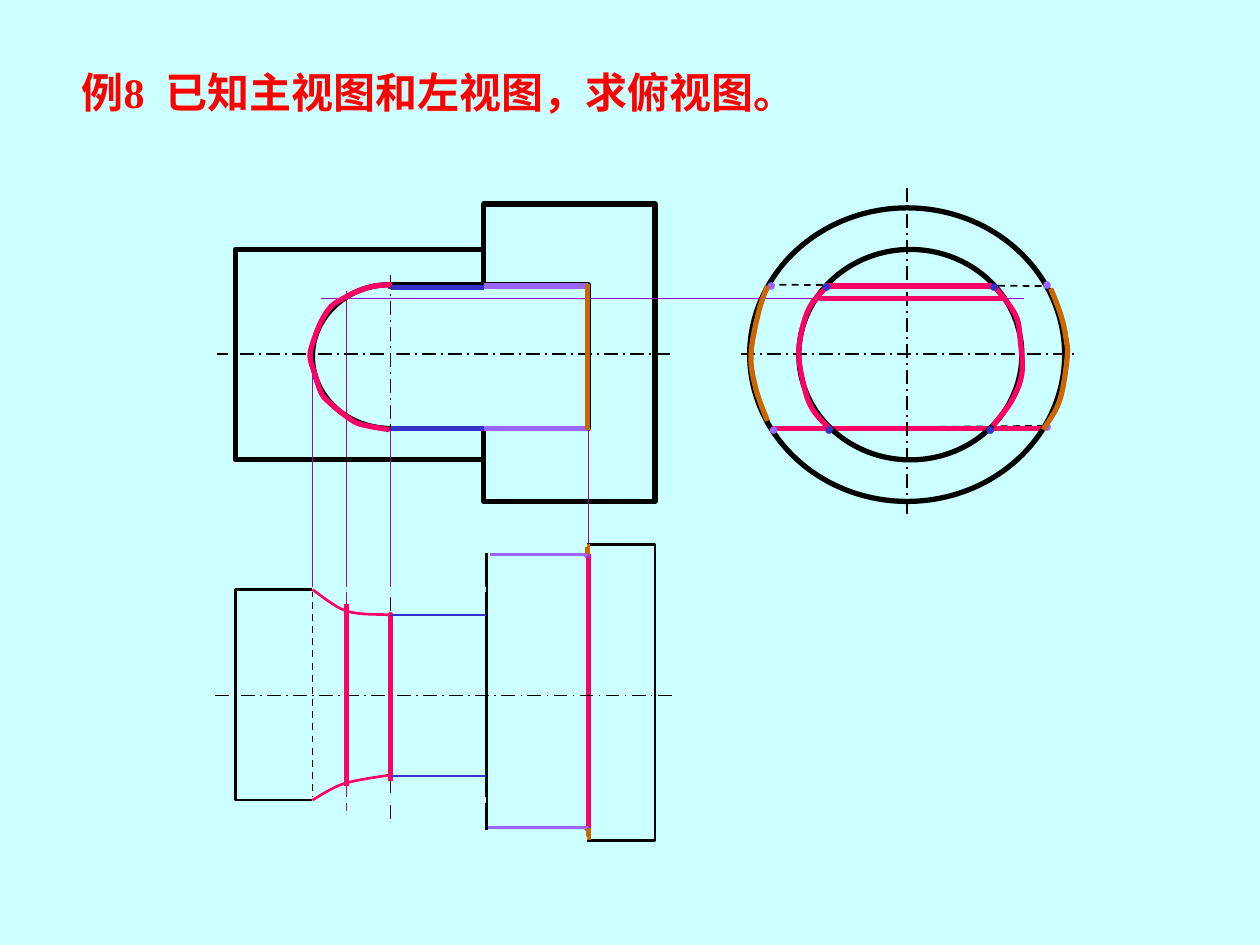
from typing import NamedTuple, Optional

from lxml import etree
from pptx import Presentation
from pptx.dml.color import RGBColor
from pptx.enum.dml import MSO_LINE
from pptx.enum.shapes import MSO_CONNECTOR, MSO_SHAPE
from pptx.enum.text import MSO_ANCHOR, MSO_AUTO_SIZE, PP_ALIGN
from pptx.oxml.ns import qn
from pptx.util import Inches, Pt

STRAIGHT = MSO_CONNECTOR.STRAIGHT
RECTANGLE, OVAL = MSO_SHAPE.RECTANGLE, MSO_SHAPE.OVAL
DASH, CENTRE_LINE = MSO_LINE.DASH, MSO_LINE.LONG_DASH_DOT
MIDDLE, CENTER = MSO_ANCHOR.MIDDLE, PP_ALIGN.CENTER
FIT_SHAPE = MSO_AUTO_SIZE.SHAPE_TO_FIT_TEXT
FONT = "Times New Roman"
COLORS = {
    "paper": "CCFFFF", "black": "000000", "red": "FF0000", "pink": "FF0066",
    "projection": "9900CC", "violet": "9933FF", "lilac": "9966FF",
    "blue": "3333CC", "orange": "CC6600",
}
DOT_BOXES = {7: (0.26, 0.22), 10: (0.28, 0.27)}  # point size: box width, height


class Segment(NamedTuple):
    x1: float
    y1: float
    x2: float
    y2: float
    color: str = "black"
    weight: float = 1
    dash: Optional[MSO_LINE] = None


class Outline(NamedTuple):
    kind: MSO_SHAPE
    left: float
    top: float
    width: float
    height: float
    weight: float = 3
    fill: Optional[str] = None


class Curve(NamedTuple):
    knots: list
    color: str = "pink"
    weight: float = 3


class Dot(NamedTuple):
    x: float
    y: float
    color: str
    size: int = 7


def rgb(name: str) -> RGBColor:
    return RGBColor.from_string(COLORS[name])


def style_line(shape, color: str, weight: float) -> None:
    shape.line.color.rgb = rgb(color)
    shape.line.width = Pt(weight)


def draw_segment(page, item: Segment) -> None:
    line = page.shapes.add_connector(
        STRAIGHT, Inches(item.x1), Inches(item.y1), Inches(item.x2), Inches(item.y2))
    style_line(line, item.color, item.weight)
    if item.dash is not None:
        line.line.dash_style = item.dash
    etree.SubElement(line._element.spPr, qn("a:effectLst"))


def draw_outline(page, item: Outline) -> None:
    shape = page.shapes.add_shape(
        item.kind, Inches(item.left), Inches(item.top), Inches(item.width), Inches(item.height))
    shape.shadow.inherit = False
    style_line(shape, "black", item.weight)
    if item.fill:
        shape.fill.solid()
        shape.fill.fore_color.rgb = rgb(item.fill)
    else:
        shape.fill.background()


def bezier_points(knots: list) -> list:
    """Two handles and an end for each span of a smooth curve through the knots."""
    ends = [knots[0], *knots, knots[-1]]
    points = []
    for before, start, end, after in zip(ends, ends[1:], ends[2:], ends[3:]):
        points.append(tuple(s + (e - b) / 6 for b, s, e in zip(before, start, end)))
        points.append(tuple(e - (a - s) / 6 for s, e, a in zip(start, end, after)))
        points.append(end)
    return points


def draw_curve(page, item: Curve) -> None:
    start, *rest = [(Inches(x), Inches(y))
                    for x, y in [item.knots[0], *bezier_points(item.knots)]]
    builder = page.shapes.build_freeform(*start)
    builder.add_line_segments(rest, close=False)
    shape = builder.convert_to_shape()
    # Join every three line points into one cubic span
    steps = list(shape._element.iter(qn("a:lnTo")))
    for index in range(0, len(steps), 3):
        first, *others = steps[index:index + 3]
        first.tag = qn("a:cubicBezTo")
        for step in others:
            first.append(step[0])
            step.getparent().remove(step)
    shape.shadow.inherit = False
    shape.fill.background()
    style_line(shape, item.color, item.weight)


def add_text(page, left: float, top: float, width: float, height: float, text: str,
             size: int, color: str, wrap: bool = False, bold: bool = False):
    box = page.shapes.add_textbox(Inches(left), Inches(top), Inches(width), Inches(height))
    frame = box.text_frame
    frame.word_wrap = wrap
    frame.auto_size = FIT_SHAPE
    frame.vertical_anchor = MIDDLE
    para = frame.paragraphs[0]
    span = para.add_run()
    span.text = text
    span.font.name, span.font.size, span.font.bold = FONT, Pt(size), bold
    span.font.color.rgb = rgb(color)
    return para


def draw_dot(page, item: Dot) -> None:
    width, height = DOT_BOXES[item.size]
    para = add_text(page, item.x - width / 2, item.y - height / 2, width, height,
                    "●", item.size, item.color)
    para.alignment = CENTER


DRAWERS = {Segment: draw_segment, Outline: draw_outline, Curve: draw_curve, Dot: draw_dot}

# Bodies, axes and projection lines, back to front
BASE = [
    Segment(6.11, 3.4, 8.28, 3.38, dash=DASH),
    Segment(4.67, 4.32, 4.67, 6.67, dash=DASH),
    Segment(4.67, 6.58, 4.67, 4.4, "pink", 3),
    Segment(6.11, 3.4, 8.28, 3.4, "pink", 3),
    Segment(2.75, 2.31, 2.75, 6.44, "projection"),
    Segment(3.1, 4.53, 3.1, 6.51, dash=CENTRE_LINE),
    Segment(5.88, 2.81, 8.53, 2.81, dash=CENTRE_LINE),
    Segment(7.2, 1.49, 7.2, 4.12, dash=CENTRE_LINE),
    Outline(OVAL, 5.95, 1.65, 2.5, 2.33),
    Outline(OVAL, 6.34, 1.98, 1.77, 1.67),
    Outline(RECTANGLE, 3.84, 1.62, 1.36, 2.36),
    Outline(RECTANGLE, 1.87, 1.98, 1.97, 1.67),
    Outline(RECTANGLE, 3.86, 4.32, 1.34, 2.35, 1.5),
    Segment(5.33, 5.52, 1.71, 5.52, dash=CENTRE_LINE),
    Outline(RECTANGLE, 1.87, 4.68, 1.99, 1.67, 1.5),
    Outline(OVAL, 2.48, 2.26, 1.23, 1.14),
    Outline(RECTANGLE, 3.1, 2.26, 1.57, 1.14, fill="paper"),
    Segment(5.32, 2.81, 1.72, 2.81, dash=CENTRE_LINE),
    Segment(3.1, 2.29, 3.11, 3.38, "paper", 6),
    Segment(3.1, 2.18, 3.1, 3.58, dash=CENTRE_LINE),
    Segment(6.09, 2.26, 8.3, 2.27, dash=DASH),
    Segment(2.48, 2.81, 2.48, 4.68, "projection"),
    Segment(2.48, 4.68, 2.48, 6.35, dash=DASH),
    Segment(3.1, 3.4, 3.1, 4.68, "projection"),
    Segment(4.67, 3.38, 4.67, 4.32, "projection"),
]
# Construction points, then the edges found from them
EDGES = [
    *[Dot(x, y, "pink") for x, y in [(3.1, 4.87), (3.1, 6.15), (6.56, 2.27), (7.89, 2.27)]],
    Segment(2.55, 2.37, 8.13, 2.37, "projection"),
    *[Dot(4.66, y, "violet") for y in (4.4, 6.57)],
    *[Dot(x, y, "pink") for x, y in [(2.75, 4.85), (2.75, 6.2), (6.47, 2.38), (7.97, 2.36)]],
    Segment(6.55, 2.27, 7.87, 2.27, "pink", 3),
    Segment(3.1, 6.2, 3.1, 4.88, "pink", 3),
    Segment(2.75, 6.24, 2.75, 4.79, "pink", 3),
    Segment(6.5, 2.37, 7.95, 2.37, "pink", 3),
    *[Segment(3.1, y, 3.86, y, "blue", 1.5) for y in (4.88, 6.16)],
    Segment(4.67, 4.4, 3.89, 4.4, "lilac", 1.5),
    Segment(4.67, 6.57, 3.87, 6.57, "lilac", 1.5),
    Segment(4.66, 4.32, 4.66, 4.4, "orange", 3),
    Segment(4.67, 6.57, 4.67, 6.67, "orange", 3),
]
# Outline parts cut away in the top view, and the intersection curves there
CUTS = [
    Segment(3.85, 4.26, 3.85, 4.39, "paper", 3),
    Segment(2.48, 4.68, 3.86, 4.68, "paper", 3),
    Segment(3.87, 4.32, 4.66, 4.32, "paper", 3),
    Segment(2.48, 6.35, 3.86, 6.35, "paper", 3),
    Segment(3.81, 6.66, 4.66, 6.67, "paper", 4.5),
    Segment(3.86, 6.59, 3.86, 6.73, "paper", 3),
    Curve([(2.48, 4.68), (2.75, 4.85), (3.08, 4.88)], weight=1.5),
    Curve([(2.48, 6.35), (2.73, 6.22), (3.1, 6.15)], weight=1.5),
]
# Coloured slot edges in the front and left views
SLOT = [
    Curve([(3.11, 2.26), (2.97, 2.27), (2.84, 2.31), (2.74, 2.36), (2.63, 2.43),
           (2.55, 2.55), (2.49, 2.7), (2.46, 2.83), (2.5, 2.97), (2.55, 3.12),
           (2.62, 3.2), (2.77, 3.32), (2.87, 3.37), (3.09, 3.41)]),
    Curve([(6.58, 2.26), (6.45, 2.4), (6.38, 2.56), (6.34, 2.8), (6.38, 3.06),
           (6.45, 3.25), (6.6, 3.42)]),
    Curve([(7.89, 2.27), (8.06, 2.5), (8.1, 2.72), (8.11, 2.97), (8.03, 3.18), (7.88, 3.38)]),
    *[Segment(3.1, y, 3.84, y, "blue", 3) for y in (2.28, 3.4)],
    *[Dot(x, y, "blue", 10) for x, y in [(6.58, 3.4), (7.86, 3.4), (6.56, 2.27), (7.89, 2.27)]],
    *[Segment(3.84, y, 4.67, y, "lilac", 3) for y in (2.27, 3.4)],
    *[Dot(x, y, "lilac", 10) for x, y in [(6.12, 2.26), (6.14, 3.4), (8.31, 3.38), (8.31, 2.25)]],
    Curve([(6.09, 2.27), (6.02, 2.48), (5.96, 2.82), (6, 3.09), (6.09, 3.34)], "orange"),
    Curve([(8.34, 2.29), (8.42, 2.5), (8.46, 2.68), (8.47, 2.84), (8.41, 3.18),
           (8.28, 3.41)], "orange"),
    Segment(4.66, 2.25, 4.66, 3.41, "orange", 3),
]

if __name__ == "__main__":
    deck = Presentation()
    deck.slide_width, deck.slide_height = Inches(10), Inches(7.5)
    page = deck.slides.add_slide(deck.slide_layouts[6])
    page.background.fill.solid()
    page.background.fill.fore_color.rgb = rgb("paper")
    for item in BASE + EDGES + CUTS:
        DRAWERS[type(item)](page, item)
    add_text(page, 0.55, 0.48, 6.48, 0.5, "例8  已知主视图和左视图，求俯视图。",
             24, "red", wrap=True, bold=True)
    for item in SLOT:
        DRAWERS[type(item)](page, item)
    deck.save("out.pptx")
